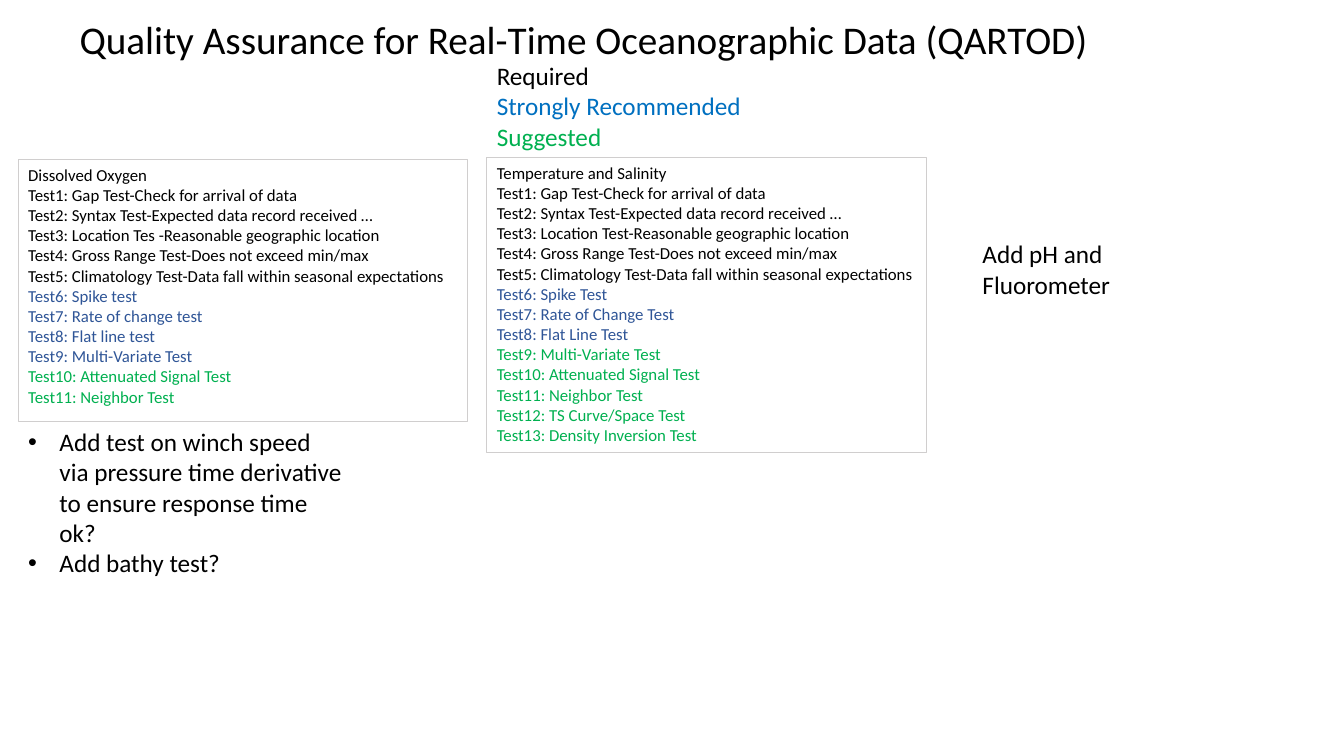
from dataclasses import dataclass

from lxml.etree import SubElement
from pptx import Presentation
from pptx.dml.color import RGBColor as Rgb
from pptx.enum.shapes import MSO_SHAPE as Shape
from pptx.enum.text import MSO_ANCHOR as Anchor, MSO_AUTO_SIZE as AutoSize, PP_ALIGN as Align
from pptx.oxml.ns import qn
from pptx.util import Cm, Pt


@dataclass(frozen=True)
class Theme:
    font: str = "Calibri"
    title_size: int = 28
    note_size: int = 18
    test_size: int = 12
    black: str = "000000"
    legend_blue: str = "0070C0"
    test_blue: str = "2F5597"
    green: str = "00B050"
    border: str = "D0CECE"


THEME = Theme()

# Test names grouped by level: required, strongly recommended, suggested
OXYGEN_TESTS = (
    ("Gap Test-Check for arrival of data",
     "Syntax Test-Expected data record received …",
     "Location Tes -Reasonable geographic location",
     "Gross Range Test-Does not exceed min/max",
     "Climatology Test-Data fall within seasonal expectations"),
    ("Spike test", "Rate of change test", "Flat line test", "Multi-Variate Test"),
    ("Attenuated Signal Test", "Neighbor Test"),
)
SALINITY_TESTS = (
    ("Gap Test-Check for arrival of data",
     "Syntax Test-Expected data record received …",
     "Location Test-Reasonable geographic location",
     "Gross Range Test-Does not exceed min/max",
     "Climatology Test-Data fall within seasonal expectations"),
    ("Spike Test", "Rate of Change Test", "Flat Line Test"),
    ("Multi-Variate Test", "Attenuated Signal Test", "Neighbor Test",
     "TS Curve/Space Test", "Density Inversion Test"),
)


def add_bullet(para):
    properties = para._p.get_or_add_pPr()
    properties.set("marL", str(Cm(0.79)))
    properties.set("indent", str(-Cm(0.79)))
    SubElement(properties, qn("a:buFont")).set("typeface", "Arial")
    SubElement(properties, qn("a:buChar")).set("char", "•")


def write_text(box, lines, size=THEME.note_size, bullets=False):
    """Fill a box with (text, colour) lines, one paragraph each."""
    frame = box.text_frame
    frame.word_wrap = True
    frame.auto_size = AutoSize.NONE
    frame.vertical_anchor = Anchor.TOP
    for index, (text, colour) in enumerate(lines):
        para = frame.add_paragraph() if index else frame.paragraphs[0]
        para.alignment = Align.LEFT
        if bullets:
            add_bullet(para)
        span = para.add_run()
        span.text = text
        span.font.name = THEME.font
        span.font.size = Pt(size)
        span.font.color.rgb = Rgb.from_string(colour)


def add_title(page, text, left, top, width, height):
    title = page.shapes.title
    title.left, title.top, title.width, title.height = map(Cm, (left, top, width, height))
    write_text(title, [(text, THEME.black)], size=THEME.title_size)


def add_note(page, lines, left, top, width, height, **text_format):
    box = page.shapes.add_textbox(*map(Cm, (left, top, width, height)))
    write_text(box, lines, **text_format)


def add_test_list(page, heading, levels, left, top, width, height):
    box = page.shapes.add_shape(Shape.RECTANGLE, *map(Cm, (left, top, width, height)))
    box.shadow.inherit = False
    box.fill.background()
    box.line.color.rgb = Rgb.from_string(THEME.border)
    box.line.width = Pt(0.75)
    colours = (THEME.black, THEME.test_blue, THEME.green)
    tests = [(name, colour) for names, colour in zip(levels, colours) for name in names]
    lines = [(heading, THEME.black)]
    lines += [(f"Test{number}: {name}", colour)
              for number, (name, colour) in enumerate(tests, start=1)]
    write_text(box, lines, size=THEME.test_size)


def main():
    deck = Presentation()
    deck.slide_width, deck.slide_height = Cm(33.87), Cm(19.05)
    page = deck.slides.add_slide(deck.slide_layouts[5])

    # Title and colour legend
    add_title(page, "Quality Assurance for Real-Time Oceanographic Data (QARTOD)",
              1.75, 0.25, 26.8, 1.45)
    legend = [("Required", THEME.black),
              ("Strongly Recommended", THEME.legend_blue),
              ("Suggested", THEME.green)]
    add_note(page, legend, 12.27, 1.4, 15.5, 2.57)

    # Test lists
    add_test_list(page, "Dissolved Oxygen", OXYGEN_TESTS, 0.46, 4.02, 11.33, 6.6)
    add_test_list(page, "Temperature and Salinity", SALINITY_TESTS, 12.27, 3.97, 11.09, 7.44)

    # Open points
    questions = [("Add test on winch speed via pressure time derivative "
                  "to ensure response time ok?", THEME.black),
                 ("Add bathy test?", THEME.black)]
    add_note(page, questions, 0.46, 10.62, 8.43, 4.11, bullets=True)
    add_note(page, [("Add pH and Fluorometer", THEME.black)], 24.51, 5.89, 5.84, 1.8)

    deck.save("out.pptx")


main()
